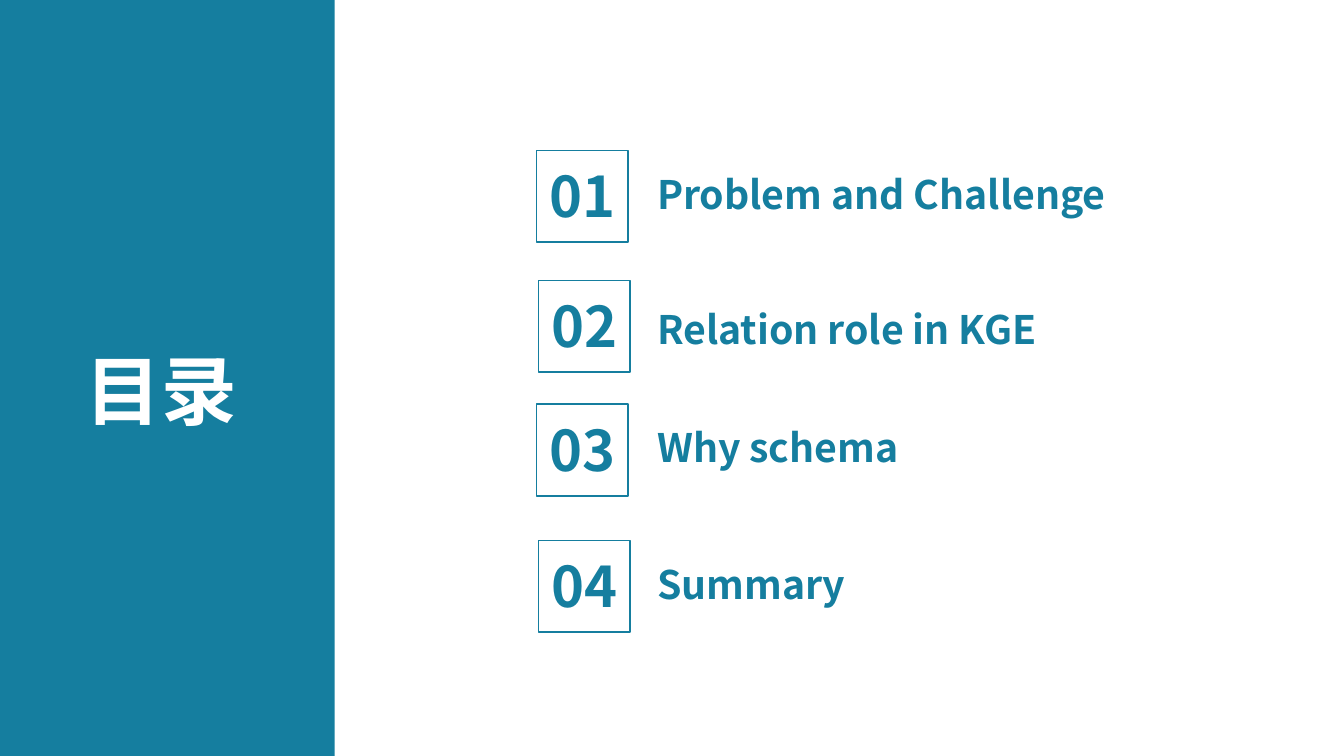
from lxml import etree
from pptx import Presentation
from pptx.dml.color import RGBColor
from pptx.enum.shapes import MSO_SHAPE
from pptx.enum.text import MSO_ANCHOR, MSO_AUTO_SIZE, PP_ALIGN
from pptx.oxml.ns import qn
from pptx.util import Inches, Pt

RECTANGLE = MSO_SHAPE.RECTANGLE
TOP = MSO_ANCHOR.TOP
GROW = MSO_AUTO_SIZE.SHAPE_TO_FIT_TEXT
LEFT, CENTER = PP_ALIGN.LEFT, PP_ALIGN.CENTER
FONT = "Noto Sans CJK SC"
COLORS = {"teal": "157E9F", "white": "FFFFFF"}


def write_text(shape, text, size, color, alignment=LEFT, wrap=True):
    frame = shape.text_frame
    frame_format = {"word_wrap": wrap, "auto_size": GROW, "vertical_anchor": TOP}
    for name, value in frame_format.items():
        setattr(frame, name, value)
    paragraph = frame.paragraphs[0]
    paragraph.alignment = alignment
    run = paragraph.add_run()
    run.text = text
    for name, value in {"name": FONT, "size": Pt(size), "bold": True}.items():
        setattr(run.font, name, value)
    run.font.color.rgb = RGBColor.from_string(COLORS[color])
    east_asian = etree.SubElement(run.font._element, qn("a:ea"))
    east_asian.set("typeface", FONT)


def add_rectangle(left, top, width, height):
    shape = slide.shapes.add_shape(
        RECTANGLE, Inches(left), Inches(top), Inches(width), Inches(height)
    )
    shape.shadow.inherit = False
    return shape


presentation = Presentation()
presentation.slide_width = Inches(13.33)
presentation.slide_height = Inches(7.5)
slide = presentation.slides.add_slide(presentation.slide_layouts[5])

title = slide.shapes.title
title_place = {"left": 0.75, "top": 3.36, "width": 1.72, "height": 1.01}
for name, value in title_place.items():
    setattr(title, name, Inches(value))
write_text(title, "目录", 54, "white", wrap=False)

side_panel = add_rectangle(0, 0, 3.32, 7.5)
side_panel.fill.solid()
side_panel.fill.fore_color.rgb = RGBColor.from_string(COLORS["teal"])
side_panel.line.fill.background()
title.element.addprevious(side_panel.element)

BOX_SIZE = 0.91
sections = [
    ("Problem and Challenge", 1.64, 4.87, 5.32, 1.49),
    ("Relation role in KGE", 2.98, 4.87, 5.34, 2.78),
    ("Why schema", 4.15, 6.69, 5.32, 4.01),
    ("Summary", 5.51, 5.92, 5.34, 5.36),
]
for number, (heading, heading_top, heading_width, box_left, box_top) in enumerate(sections, 1):
    heading_box = slide.shapes.add_textbox(
        Inches(6.42), Inches(heading_top), Inches(heading_width), Inches(0.57)
    )
    write_text(heading_box, heading, 28, "teal")

    number_box = slide.shapes.add_textbox(
        Inches(box_left), Inches(box_top + 0.06), Inches(BOX_SIZE), Inches(0.77)
    )
    write_text(number_box, f"{number:02}", 40, "teal", CENTER)

    frame_box = add_rectangle(box_left, box_top, BOX_SIZE, BOX_SIZE)
    frame_box.fill.background()
    frame_box.line.color.rgb = RGBColor.from_string(COLORS["teal"])
    frame_box.line.width = Pt(1)

presentation.save("out.pptx")
